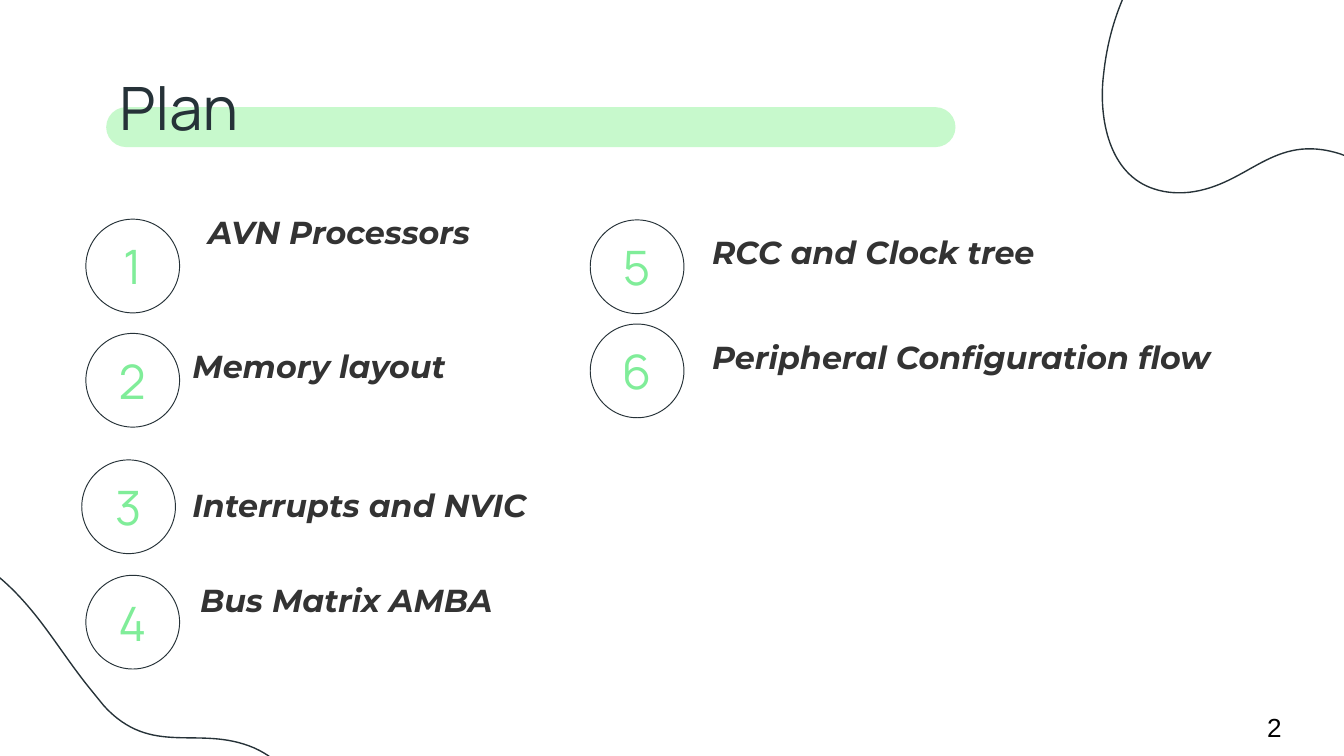
from lxml import etree
from pptx import Presentation
from pptx import util as u
from pptx.dml.color import RGBColor
from pptx.enum import shapes, text
from pptx.oxml import ns

COLORS = {"ink": "263238", "band": "C7F9CC", "digit": "80ED99",
          "topic": "333333", "page": "000000"}

deck = Presentation()
deck.slide_width, deck.slide_height = u.Pt(720), u.Pt(405)
page = deck.slides.add_slide(deck.slide_layouts[6])


def add_text(words, left, top, width, height, size, font, color, bold=False, italic=False,
             align=text.PP_ALIGN.LEFT, anchor=text.MSO_ANCHOR.TOP, inset=7.2, indent=0):
    box = page.shapes.add_textbox(u.Pt(left), u.Pt(top), u.Pt(width), u.Pt(height))
    frame = box.text_frame
    frame.word_wrap = True
    frame.vertical_anchor = anchor
    frame.margin_left = frame.margin_right = u.Pt(inset)
    frame.margin_top = frame.margin_bottom = u.Pt(inset)
    para = frame.paragraphs[0]
    para.alignment = align
    if indent:
        para._p.get_or_add_pPr().set("marL", str(u.Pt(indent)))
    span = para.add_run()
    span.text = words
    span.font.size, span.font.name = u.Pt(size), font
    span.font.bold, span.font.italic = bold, italic
    span.font.color.rgb = RGBColor.from_string(COLORS[color])


def outline(shape, width):
    """Leave the shape unfilled, with a thin dark line and no shadow."""
    shape.shadow.inherit = False
    shape.fill.background()
    shape.line.color.rgb = RGBColor.from_string(COLORS["ink"])
    shape.line.width = u.Pt(width)


# Band behind the title
band = page.shapes.add_shape(shapes.MSO_SHAPE.ROUNDED_RECTANGLE,
                             u.Pt(56.88), u.Pt(57.4), u.Pt(455), u.Pt(21.4))
band.adjustments[0] = 0.5
band.shadow.inherit = False
band.fill.solid()
band.fill.fore_color.rgb = RGBColor.from_string(COLORS["band"])
band.line.fill.background()

# One wavy blob, placed twice at different angles.
# Units of 0.72 pt; each curve is two control points and an end point.
BLOB_WIDTH, BLOB_HEIGHT = 442, 325
BLOB_START = (354, 1)
BLOB_CURVES = [
    [(345, 1), (336, 3), (326, 8)],
    [(286, 29), (284, 72), (231, 75)],
    [(226, 75), (221, 75), (215, 75)],
    [(191, 75), (167, 72), (145, 72)],
    [(117, 72), (90, 76), (61, 93)],
    [(11, 120), (0, 160), (11, 206)],
    [(27, 288), (97, 325), (178, 325)],
    [(212, 325), (248, 318), (282, 305)],
    [(392, 262), (443, 166), (417, 68)],
    [(410, 39), (389, 1), BLOB_START],
]
for left, top, angle in [(588.24, -90.72, 201), (-156.96, 295.2, 50.9)]:
    builder = page.shapes.build_freeform(0, 0, scale=u.Pt(0.72))
    builder.add_line_segments([(BLOB_WIDTH, 0), (BLOB_WIDTH, BLOB_HEIGHT), (0, BLOB_HEIGHT)])
    blob = builder.convert_to_shape()
    blob.left, blob.top, blob.rotation = u.Pt(left), u.Pt(top), angle
    outline(blob, 0.75)
    track = blob._element.xpath(".//a:path")[0]
    for step in list(track):
        track.remove(step)
    for tag, points in [("a:moveTo", [BLOB_START])] + [("a:cubicBezTo", c) for c in BLOB_CURVES]:
        step = etree.SubElement(track, ns.qn(tag))
        for x, y in points:
            etree.SubElement(step, ns.qn("a:pt"), x=str(x), y=str(y))
    etree.SubElement(track, ns.qn("a:close"))

add_text("Plan", 56.88, 30.6, 607, 48.2, size=32, font="Manrope", color="ink")

# Topic, its circle (left, top), its text box (left, top, width, height), indent
topics = [
    ("AVN Processors", (46, 117.4), (104.4, 106.6, 227.5, 72), 0),
    ("Memory layout", (46, 178.6), (96, 178.6, 210.2, 59), 0),
    ("Interrupts and NVIC", (43.8, 246.4), (96, 253.2, 215.3, 50.4), 0),
    ("Bus Matrix AMBA", (46, 308.2), (64.1, 303.8, 233.3, 59), 36),
    ("RCC and Clock tree", (316.2, 117.8), (374.4, 117.4, 312.5, 48.2), 0),
    ("Peripheral Configuration flow", (316.2, 173.6), (374.4, 173.6, 312.5, 48.2), 0),
]
for number, (topic, (left, top), area, indent) in enumerate(topics, start=1):
    circle = page.shapes.add_shape(shapes.MSO_SHAPE.OVAL,
                                   u.Pt(left), u.Pt(top), u.Pt(50.2), u.Pt(50.2))
    outline(circle, 0.5)
    add_text(str(number), left + 2.2, top + 7.1, 45.4, 36, size=25.4, font="Manrope",
             color="digit", align=text.PP_ALIGN.CENTER, anchor=text.MSO_ANCHOR.MIDDLE, inset=5)
    add_text(topic, *area, size=17, font="Montserrat", color="topic",
             bold=True, italic=True, indent=indent)

add_text("2", 671.8, 374, 43.2, 31, size=14, font="Arial", color="page",
         anchor=text.MSO_ANCHOR.MIDDLE)

deck.save("out.pptx")
